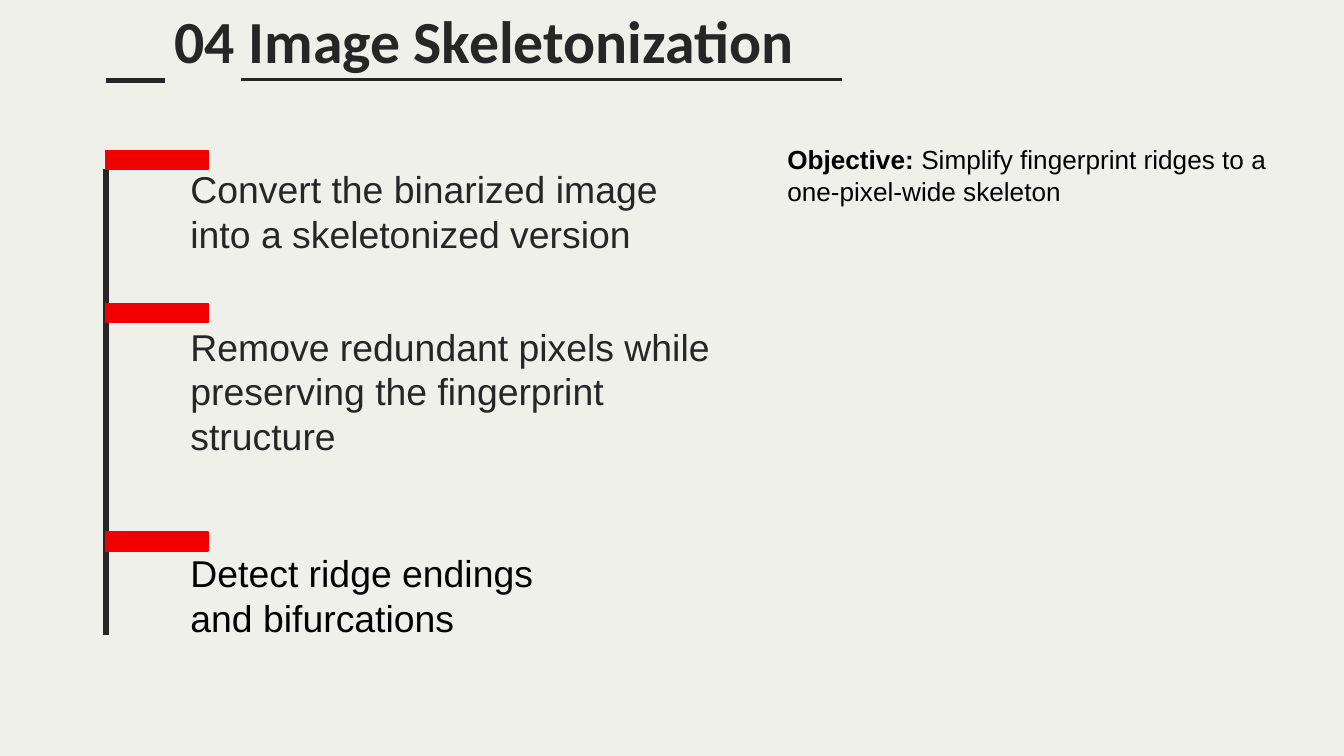
import enum

import lxml.etree
import pptx
import pptx.dml.color
import pptx.enum.shapes
import pptx.enum.text
import pptx.oxml.ns
import pptx.util

Cm = pptx.util.Cm
Pt = pptx.util.Pt
Anchor = pptx.enum.text.MSO_ANCHOR


class Theme(enum.Enum):
    PAPER = pptx.dml.color.RGBColor.from_string("F0F0EA")
    INK = pptx.dml.color.RGBColor.from_string("272626")
    BLACK = pptx.dml.color.RGBColor.from_string("000000")
    RED = pptx.dml.color.RGBColor.from_string("F10000")
    TITLE_SIZE = Pt(32)
    STEP_SIZE = Pt(20)
    NOTE_SIZE = Pt(14)


def add_rule(shapes, left, top, right, bottom, width):
    rule = shapes.add_connector(
        pptx.enum.shapes.MSO_CONNECTOR.STRAIGHT,
        Cm(left), Cm(top), Cm(right), Cm(bottom),
    )
    rule.line.color.rgb = Theme.INK.value
    rule.line.width = Pt(width)
    properties = rule.element.find(pptx.oxml.ns.qn("p:spPr"))
    lxml.etree.SubElement(properties, pptx.oxml.ns.qn("a:effectLst"))


def add_text(left, top, width, height, spans, font, size, color, anchor, inset):
    box = page.shapes.add_textbox(Cm(left), Cm(top), Cm(width), Cm(height))
    frame = box.text_frame
    frame.word_wrap = True
    frame.vertical_anchor = anchor
    frame.margin_left = frame.margin_right = Cm(0.25)
    frame.margin_top = frame.margin_bottom = Cm(inset)
    para = frame.paragraphs[0]
    for text, bold in spans:
        span = para.add_run()
        span.text = text
        span.font.name = font
        span.font.size = size.value
        span.font.bold = bold
        span.font.color.rgb = color.value
    return box


deck = pptx.Presentation()
deck.slide_width = Cm(25.4)
deck.slide_height = Cm(14.29)
page = deck.slides.add_slide(deck.slide_layouts[6])
page.background.fill.solid()
page.background.fill.fore_color.rgb = Theme.PAPER.value

timeline_left = 2
add_rule(page.shapes, timeline_left, 3.2, timeline_left, 12, 3)
underline = page.shapes.add_group_shape()
add_rule(underline.shapes, 15.92, 1.5, 4.55, 1.5, 1.5)
add_rule(underline.shapes, timeline_left, 1.52, 3.12, 1.52, 3)

steps = [
    ("Convert the binarized image into a skeletonized version", 3.61, 10.34, Theme.INK, 2.84),
    ("Remove redundant pixels while preserving the fingerprint structure", 7.44, 10.34, Theme.INK, 5.74),
    ("Detect ridge endings and bifurcations", 10.87, 7.04, Theme.BLACK, 10.06),
]
for text, top, width, color, marker_top in steps:
    add_text(3.35, top, width, 1.47, [(text, False)], "Arial",
             Theme.STEP_SIZE, color, Anchor.BOTTOM, 0.25)
    marker = page.shapes.add_shape(
        pptx.enum.shapes.MSO_SHAPE.RECTANGLE,
        Cm(timeline_left), Cm(marker_top), Cm(1.93), Cm(0.36),
    )
    marker.shadow.inherit = False
    marker.fill.solid()
    marker.fill.fore_color.rgb = Theme.RED.value
    marker.line.color.rgb = Theme.RED.value
    marker.line.width = Pt(0.75)

add_text(3.05, -0.18, 21.03, 1.6, [("04 Image Skeletonization", True)], "Calibri",
         Theme.TITLE_SIZE, Theme.INK, Anchor.TOP, 0.25)
objective = add_text(
    14.63, 2.59, 9.6, 1.45,
    [("Objective:", True), (" Simplify fingerprint ridges to a one-pixel-wide skeleton", False)],
    "Arial", Theme.NOTE_SIZE, Theme.BLACK, Anchor.TOP, 0.13,
)
objective.text_frame.auto_size = pptx.enum.text.MSO_AUTO_SIZE.SHAPE_TO_FIT_TEXT

deck.save("out.pptx")
